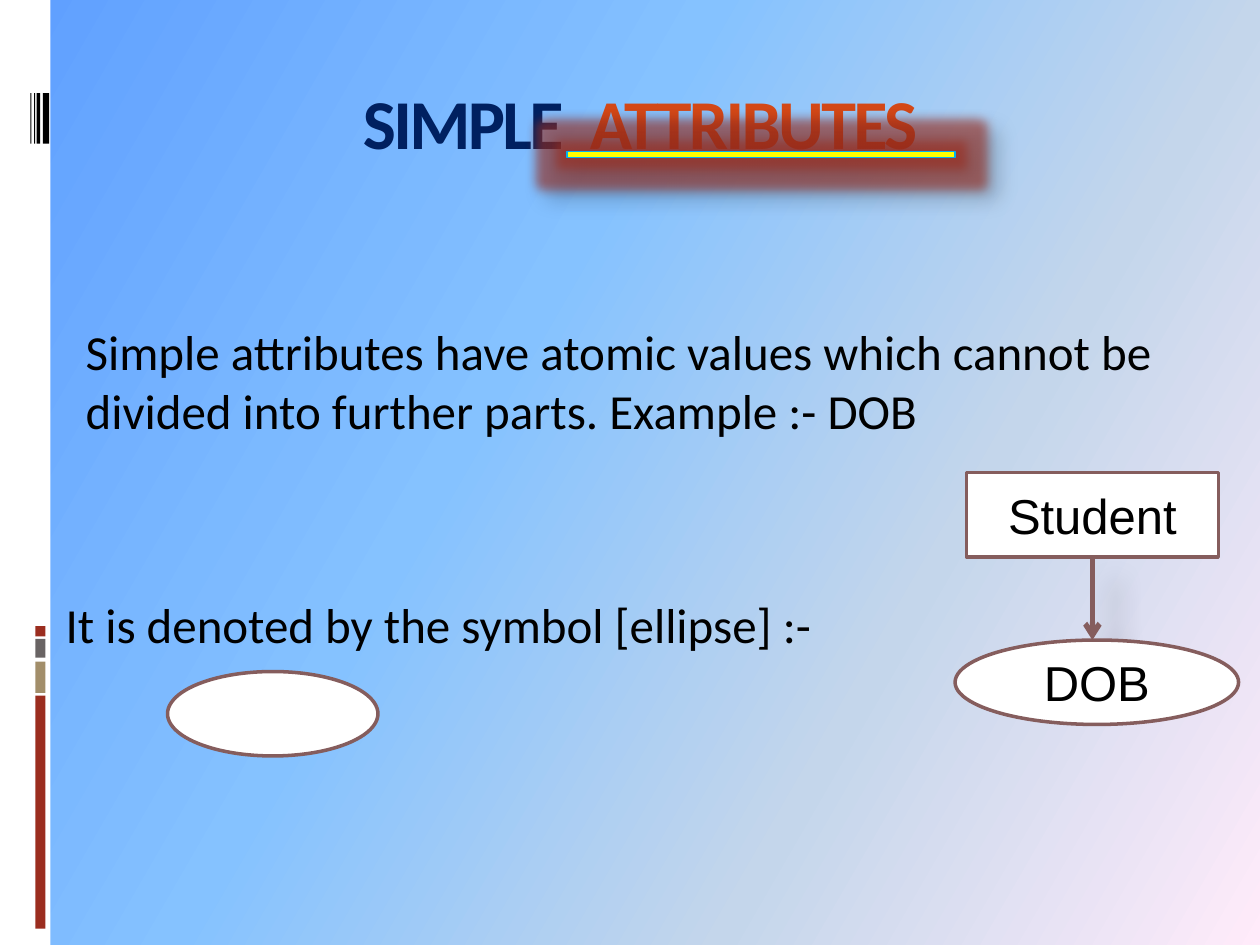
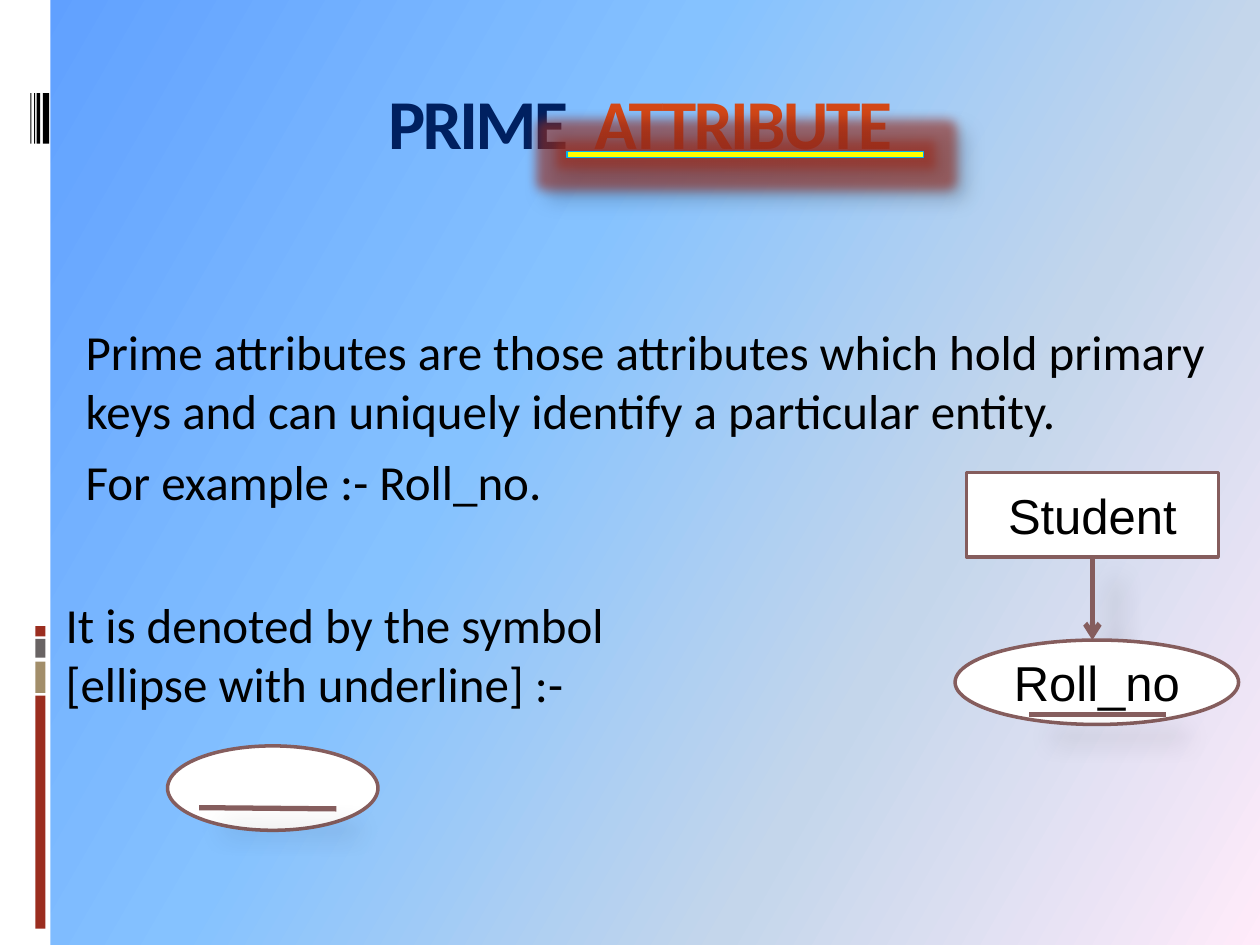
from lxml import etree
from pptx import Presentation
from pptx.dml.color import RGBColor
from pptx.enum.shapes import MSO_CONNECTOR, MSO_SHAPE
from pptx.enum.text import MSO_ANCHOR, MSO_AUTO_SIZE, PP_ALIGN
from pptx.oxml.ns import qn
from pptx.util import Inches, Pt

RECTANGLE, OVAL = MSO_SHAPE.RECTANGLE, MSO_SHAPE.OVAL
STRAIGHT = MSO_CONNECTOR.STRAIGHT
TOP, MIDDLE = MSO_ANCHOR.TOP, MSO_ANCHOR.MIDDLE
LEFT, CENTER = PP_ALIGN.LEFT, PP_ALIGN.CENTER
NO_AUTOFIT = MSO_AUTO_SIZE.NONE

BLACK = RGBColor(0x00, 0x00, 0x00)
WHITE = RGBColor(0xFF, 0xFF, 0xFF)
NAVY = RGBColor(0x00, 0x20, 0x60)
ORANGE = RGBColor(0xD3, 0x48, 0x17)
YELLOW = RGBColor(0xFF, 0xFF, 0x00)
SKY = RGBColor(0x00, 0xB0, 0xF0)
MAUVE = RGBColor(0x85, 0x5D, 0x5D)
RED = RGBColor(0x9B, 0x2D, 0x1F)
TAN = RGBColor(0xA2, 0x8E, 0x6A)
GRAY = RGBColor(0x69, 0x64, 0x64)
BACKGROUND_STOPS = [
    (0, RGBColor(0x5E, 0x9E, 0xFF)),
    (40, RGBColor(0x85, 0xC2, 0xFF)),
    (70, RGBColor(0xC4, 0xD6, 0xEB)),
    (100, RGBColor(0xFF, 0xEB, 0xFA)),
]
BACKGROUND_ANGLE = 30

SLIDES = [
    {
        "title": ("SIMPLE  ", "ATTRIBUTES"),
        "bar_width": 3.08,
        "definition": ["Simple attributes have atomic values which cannot be divided "
                       "into further parts. Example :- DOB"],
        "definition_height": 1.33,
        "symbol": "It is denoted by the symbol [ellipse] :-",
        "symbol_size": (6.17, 0.83),
        "symbol_ellipse_top": 5.33,
        "attribute": "DOB",
        "underlines": [],
    },
    {
        "title": ("PRIME  ", "ATTRIBUTE"),
        "bar_width": 2.83,
        "definition": ["Prime attributes are those attributes which hold primary keys "
                       "and can uniquely identify a particular entity.",
                       "For example :- Roll_no."],
        "definition_height": 1.58,
        "symbol": "It is denoted by the symbol [ellipse with underline] :-",
        "symbol_size": (5.08, 1),
        "symbol_ellipse_top": 5.92,
        "attribute": "Roll_no",
        "underlines": [(1.58, 6.41, 2.67, 6.42), (8.17, 5.67, 9.25, 5.67)],
    },
]

TITLE_BOX = (0.58, 0.58, 9, 1.42)
ENTITY_BOX = (7.67, 3.75, 2, 0.67)
ATTRIBUTE_BOX = (7.58, 5.08, 2.25, 0.67)
ARROW = (8.67, 4.42, 8.67, 5.08)
SIDE_BLOCKS = [(5.52, 1.85, RED), (5.25, 0.25, TAN), (5.07, 0.15, GRAY), (4.97, 0.08, RED)]
BARCODE = [(0.34, 0.05), (0.29, 0.03), (0.27, 0.01), (0.24, 0.01)]
SIDE_BAND = (
    [((0, 0, 0.4, 7.5), WHITE)]
    + [((0.28, top, 0.08, height), color) for top, height, color in SIDE_BLOCKS]
    + [((left, 0.74, width, 0.4), BLACK) for left, width in BARCODE]
)

TITLE_FONT = {"name": "Calibri", "size": Pt(40), "bold": True}
BODY_FONT = {"name": "Calibri", "size": Pt(28)}
DIAGRAM_FONT = {"name": "Arial", "size": Pt(28)}
BAR_SHADOW = {"alpha": 35, "blur": 10.2, "distance": 8}
LINE_SHADOW = {"alpha": 26, "blur": 15, "distance": 18}


def set_attributes(target, values):
    for name, value in values.items():
        setattr(target, name, value)


def add_child(parent, tag, **attributes):
    values = {name: str(value) for name, value in attributes.items()}
    return etree.SubElement(parent, qn(tag), values)


def add_color(parent, color, alpha=None):
    element = add_child(parent, "a:srgbClr", val=color)
    if alpha is not None:
        add_child(element, "a:alpha", val=alpha * 1000)


def add_shadow(effects, alpha, blur, distance):
    shadow = add_child(effects, "a:outerShdw", blurRad=Pt(blur), dist=Pt(distance),
                       dir=45 * 60000, algn="ctr", rotWithShape=0)
    add_color(shadow, BLACK, alpha)


def place(shape, box):
    names = ("left", "top", "width", "height")
    set_attributes(shape, dict(zip(names, map(Inches, box))))


def add_run(paragraph, text, font, color):
    run = paragraph.add_run()
    run.text = text
    set_attributes(run.font, font)
    run.font.color.rgb = color
    return run


def add_shape(slide, kind, box, fill, line=None, line_width=2):
    shape = slide.shapes.add_shape(kind, *map(Inches, box))
    shape.shadow.inherit = False
    shape.fill.solid()
    shape.fill.fore_color.rgb = fill
    if line is None:
        shape.line.fill.background()
    else:
        shape.line.color.rgb = line
        shape.line.width = Pt(line_width)
    return shape


def add_node(slide, kind, box, text=None):
    shape = add_shape(slide, kind, box, WHITE, MAUVE)
    if text:
        set_attributes(shape.text_frame, {"word_wrap": True, "vertical_anchor": MIDDLE})
        paragraph = shape.text_frame.paragraphs[0]
        paragraph.alignment = CENTER
        add_run(paragraph, text, DIAGRAM_FONT, BLACK)


def add_line(slide, ends, arrow=False):
    connector = slide.shapes.add_connector(STRAIGHT, *map(Inches, ends))
    connector.line.color.rgb = MAUVE
    connector.line.width = Pt(3)
    properties = connector.element.spPr
    if arrow:
        add_child(properties.find(qn("a:ln")), "a:tailEnd", type="arrow")
    add_shadow(add_child(properties, "a:effectLst"), **LINE_SHADOW)


def add_title(slide, words, bar_width):
    title = slide.shapes.title
    place(title, TITLE_BOX)
    set_attributes(title.text_frame, {"auto_size": NO_AUTOFIT, "word_wrap": True,
                                      "vertical_anchor": TOP})
    paragraph = title.text_frame.paragraphs[0]
    paragraph.alignment = CENTER
    for word, color in zip(words, (NAVY, ORANGE)):
        run = add_run(paragraph, word, TITLE_FONT, color)
        run.font._element.set("spc", "-150")
    bar = add_shape(slide, RECTANGLE, (4.5, 1.2, bar_width, 0.05), YELLOW, SKY, 0.75)
    effects = bar.element.spPr.find(qn("a:effectLst"))
    add_color(add_child(effects, "a:glow", rad=Pt(12)), RED, 60)
    add_shadow(effects, **BAR_SHADOW)


def fill_body(placeholder, box, texts):
    place(placeholder, box)
    frame = placeholder.text_frame
    set_attributes(frame, {"auto_size": NO_AUTOFIT, "word_wrap": True,
                           "vertical_anchor": TOP})
    for index, text in enumerate(texts):
        paragraph = frame.add_paragraph() if index else frame.paragraphs[0]
        set_attributes(paragraph, {"alignment": LEFT, "space_before": Pt(7)})
        properties = paragraph._p.get_or_add_pPr()
        properties.set("marL", "0")
        properties.set("indent", "0")
        add_child(properties, "a:buNone")
        add_run(paragraph, text, BODY_FONT, BLACK)


def style_master(master, slide):
    master.background.fill.gradient()
    gradient = master.element.find(".//" + qn("a:gradFill"))
    for child in list(gradient):
        gradient.remove(child)
    stops = add_child(gradient, "a:gsLst")
    for position, color in BACKGROUND_STOPS:
        add_color(add_child(stops, "a:gs", pos=position * 1000), color)
    add_child(gradient, "a:lin", ang=BACKGROUND_ANGLE * 60000, scaled=0)
    for box, color in SIDE_BAND:
        block = add_shape(slide, RECTANGLE, box, color)
        master.element.cSld.spTree.append(block.element)


def build_slide(slide, content):
    add_title(slide, content["title"], content["bar_width"])
    fill_body(slide.placeholders[1], (0.58, 2.5, 9.67, content["definition_height"]),
              content["definition"])
    add_node(slide, RECTANGLE, ENTITY_BOX, "Student")
    add_line(slide, ARROW, arrow=True)
    add_node(slide, OVAL, ATTRIBUTE_BOX, content["attribute"])
    fill_body(slide.placeholders[2], (0.42, 4.67, *content["symbol_size"]),
              [content["symbol"]])
    add_node(slide, OVAL, (1.33, content["symbol_ellipse_top"], 1.67, 0.67))
    for ends in content["underlines"]:
        add_line(slide, ends)


def main():
    presentation = Presentation()
    presentation.slide_width = Inches(10)
    presentation.slide_height = Inches(7.5)
    layout = presentation.slide_layouts.get_by_name("Two Content")
    slides = [presentation.slides.add_slide(layout) for _ in SLIDES]
    style_master(presentation.slide_master, slides[0])
    for slide, content in zip(slides, SLIDES):
        build_slide(slide, content)
    presentation.save("out.pptx")


if __name__ == "__main__":
    main()
